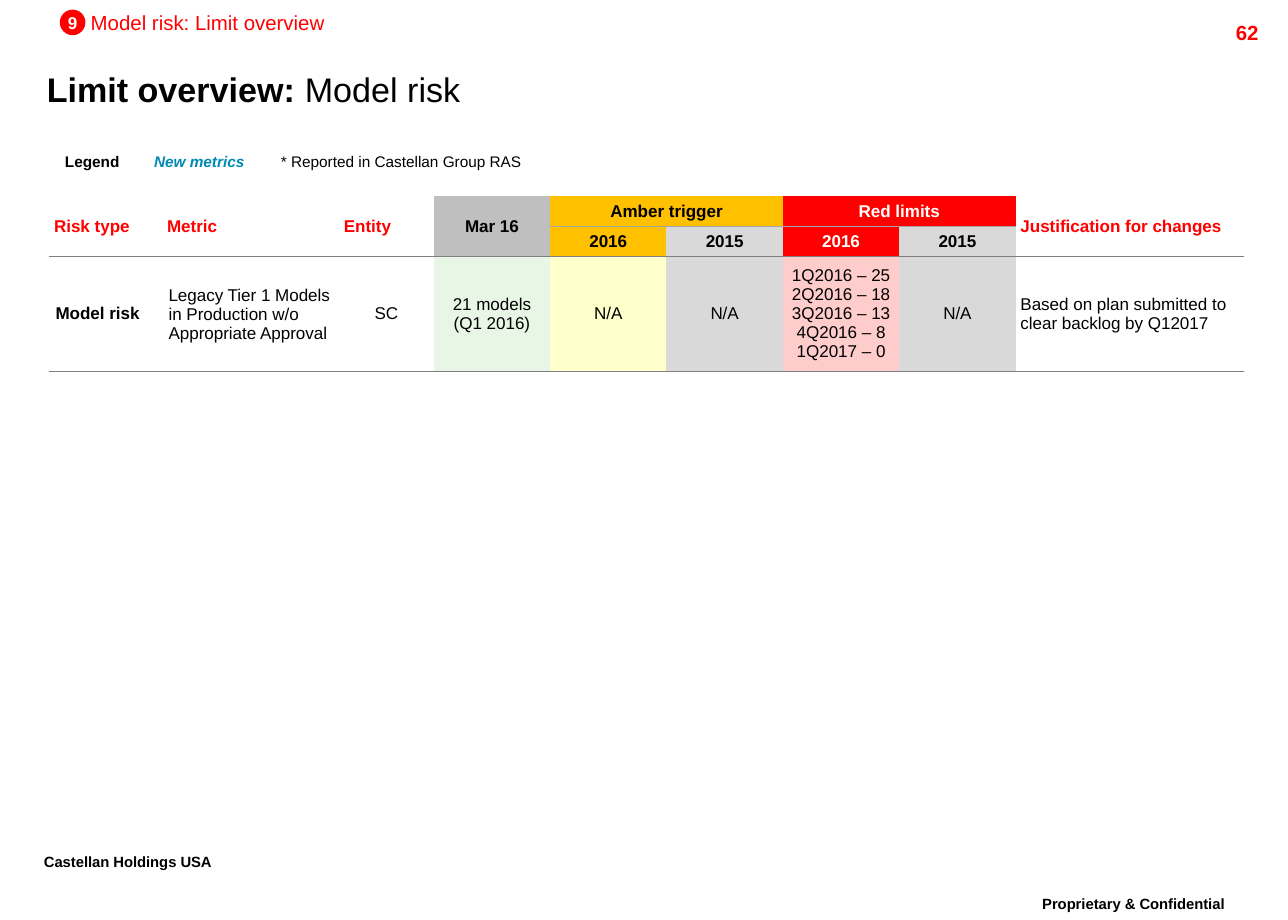
from lxml.etree import SubElement
from pptx import Presentation
from pptx.dml.color import RGBColor
from pptx.enum.shapes import MSO_SHAPE as Shape
from pptx.enum.text import MSO_ANCHOR as Anchor, PP_ALIGN as Align
from pptx.oxml import parse_xml
from pptx.oxml.ns import nsdecls, qn
from pptx.util import Cm, Pt

COLOURS = {
    "black": "000000", "white": "FFFFFF", "red": "FF0000", "teal": "008AB3",
    "amber": "FFC000", "silver": "BFBFBF", "light": "D9D9D9", "mint": "E8F6E6",
    "cream": "FFFFCC", "pink": "FFCCCC", "rule": "808080", "thin": "A5A5A5",
}
MARGINS = ("margin_left", "margin_top", "margin_right", "margin_bottom")
PLAIN_STYLE = "{2D5ABB26-0587-4C30-8999-92F81FD0307C}"

COLUMNS = [2.34, 3.66, 1.96] + [2.41] * 5 + [4.72]
ROWS = [0.62, 0.62, 2.37]

# row, column, last row, last column, text, fill, text colour, alignment
HEADERS = [
    (0, 0, 1, 0, "Risk type", "white", "red", Align.LEFT),
    (0, 1, 1, 1, "Metric", "white", "red", Align.LEFT),
    (0, 2, 1, 2, "Entity", "white", "red", Align.LEFT),
    (0, 3, 1, 3, "Mar 16", "silver", "black", Align.CENTER),
    (0, 4, 0, 5, "Amber trigger", "amber", "black", Align.CENTER),
    (0, 6, 0, 7, "Red limits", "red", "white", Align.CENTER),
    (0, 8, 1, 8, "Justification for changes", "white", "red", Align.LEFT),
    (1, 4, 1, 4, "2016", "amber", "black", Align.CENTER),
    (1, 5, 1, 5, "2015", "light", "black", Align.CENTER),
    (1, 6, 1, 6, "2016", "red", "white", Align.CENTER),
    (1, 7, 1, 7, "2015", "light", "black", Align.CENTER),
]
BODY = [
    ("Model risk", "white", Align.LEFT, [0.13] * 4),
    ("Legacy Tier 1 Models in Production w/o Appropriate Approval",
     "white", Align.LEFT, [0.13, 0.03, 0.03, 0]),
    ("SC", "white", Align.CENTER, [0.13] * 4),
    ("21 models\n(Q1 2016)", "mint", Align.CENTER, [0.13] * 4),
    ("N/A", "cream", Align.CENTER, [0.13] * 4),
    ("N/A", "light", Align.CENTER, [0.13] * 4),
    ("1Q2016 – 25\n2Q2016 – 18\n3Q2016 – 13\n4Q2016 – 8\n1Q2017 – 0",
     "pink", Align.CENTER, [0.13] * 4),
    ("N/A", "light", Align.CENTER, [0.13] * 4),
    ("Based on plan submitted to clear backlog by Q12017",
     "white", Align.LEFT, [0.1] * 4),
]


def rgb(name):
    """Return the named colour."""
    return RGBColor.from_string(COLOURS[name])


def apply(target, values):
    """Set each attribute named in values on the target."""
    for name, value in values.items():
        setattr(target, name, value)


def add_run(paragraph, text, size, colour="black", **style):
    """Add one formatted run to a paragraph."""
    run = paragraph.add_run()
    run.text = text
    apply(run.font, {"name": "Arial", "size": Pt(size), **style})
    run.font.color.rgb = rgb(colour)
    return run


def add_text(slide, box, runs, align=Align.LEFT, margins=(0.25, 0.13, 0.25, 0.13),
             wrap=False, anchor=Anchor.TOP, spacing=None, baseline=None):
    """Add a one-paragraph text box made of (text, size, colour, style) runs."""
    frame = slide.shapes.add_textbox(*map(Cm, box)).text_frame
    apply(frame, {"word_wrap": wrap, "vertical_anchor": anchor,
                  **dict(zip(MARGINS, map(Cm, margins)))})
    paragraph = frame.paragraphs[0]
    apply(paragraph, {"alignment": align, "line_spacing": spacing})
    for text, size, colour, style in runs:
        run = add_run(paragraph, text, size, colour, **style)
        if baseline:
            run.font._element.set("baseline", str(baseline))


def add_badge(slide, box, text):
    """Add the round section number."""
    badge = slide.shapes.add_shape(Shape.OVAL, *map(Cm, box))
    badge.shadow.inherit = False
    badge.fill.solid()
    badge.fill.fore_color.rgb = rgb("red")
    badge.line.fill.background()
    frame = badge.text_frame
    apply(frame, {"word_wrap": False, "vertical_anchor": Anchor.MIDDLE,
                  **dict.fromkeys(MARGINS, 0)})
    frame.paragraphs[0].alignment = Align.CENTER
    add_run(frame.paragraphs[0], text, 10, "white", bold=True)


def set_border(cell, side, colour):
    """Draw a one-point line on the top or bottom of a cell."""
    line = parse_xml(f'<a:{side} {nsdecls("a")} w="12700"/>')
    fill = SubElement(line, qn("a:solidFill"))
    SubElement(fill, qn("a:srgbClr"), val=COLOURS[colour])
    cell._tc.get_or_add_tcPr().insert(0, line)


def fill_cell(cell, text, fill, colour, align, margins, bold):
    """Fill a cell and write one paragraph for each line of text."""
    apply(cell, {"vertical_anchor": Anchor.MIDDLE,
                 **dict(zip(MARGINS, map(Cm, margins)))})
    cell.fill.solid()
    cell.fill.fore_color.rgb = rgb(fill)
    frame = cell.text_frame
    for index, line in enumerate(text.split("\n")):
        paragraph = frame.add_paragraph() if index else frame.paragraphs[0]
        paragraph.alignment = align
        add_run(paragraph, line, 10, colour, bold=bold)


def add_limits_table(slide):
    """Add the table of limits with its merged header."""
    frame = slide.shapes.add_table(len(ROWS), len(COLUMNS), Cm(1.02), Cm(4.06),
                                   Cm(sum(COLUMNS)), Cm(sum(ROWS)))
    table = frame.table
    apply(table, {"first_row": False, "horz_banding": False})
    table._tbl.tblPr.find(qn("a:tableStyleId")).text = PLAIN_STYLE
    for column, width in zip(table.columns, COLUMNS):
        column.width = Cm(width)
    for row, height in zip(table.rows, ROWS):
        row.height = Cm(height)
    for top, left, bottom, right, text, fill, colour, align in HEADERS:
        cell = table.cell(top, left)
        if (top, left) != (bottom, right):
            cell.merge(table.cell(bottom, right))
        fill_cell(cell, text, fill, colour, align, [0.1] * 4, True)
        for row in range(top, bottom + 1):
            for column in range(left, right + 1):
                set_border(table.cell(row, column), "lnB", "rule" if bottom else "thin")
    for column, (text, fill, align, margins) in enumerate(BODY):
        cell = table.cell(2, column)
        fill_cell(cell, text, fill, "black", align, margins, column == 0)
        for side in ("lnB", "lnT"):
            set_border(cell, side, "rule")


def main():
    """Build and save the limit overview slide."""
    presentation = Presentation()
    apply(presentation, {"slide_width": Cm(26.67), "slide_height": Cm(19.05)})
    slide = presentation.slides.add_slide(presentation.slide_layouts[6])
    bold = {"bold": True}

    for box, text, align in (
        ((20.7, 18.42, 5.54, 0.89), "Proprietary & Confidential", Align.CENTER),
        ((0.66, 17.55, 4.85, 0.89), "Castellan Holdings USA", Align.LEFT),
    ):
        add_text(slide, box, [(text, 15, "black", bold)], align, wrap=True,
                 spacing=0.86, baseline=30000)
    add_text(slide, (23.77, 0.28, 2.54, 0.61), [("62", 12, "red", bold)],
             Align.RIGHT, wrap=True)

    for left, width, text, colour, style in (
        (1.02, 1.78, "Legend", "black", bold),
        (2.92, 2.41, "New metrics", "teal", {"bold": True, "italic": True}),
        (5.46, 5.69, "* Reported in Castellan Group RAS", "black", {}),
    ):
        add_text(slide, (left, 3.07, width, 0.58), [(text, 9, colour, style)],
                 Align.CENTER, spacing=0.86)

    add_limits_table(slide)
    add_text(slide, (0.97, 1.24, 24.08, 1.22),
             [("Limit overview: ", 20, "black", bold), ("Model risk", 20, "black", {})],
             margins=[0] * 4, wrap=True, anchor=Anchor.MIDDLE)
    add_text(slide, (1.88, 0.2, 7.14, 0.51),
             [("Model risk: Limit overview", 12, "red", {})], margins=[0] * 4)
    add_badge(slide, (1.24, 0.2, 0.53, 0.53), "9")
    presentation.save("out.pptx")


if __name__ == "__main__":
    main()
